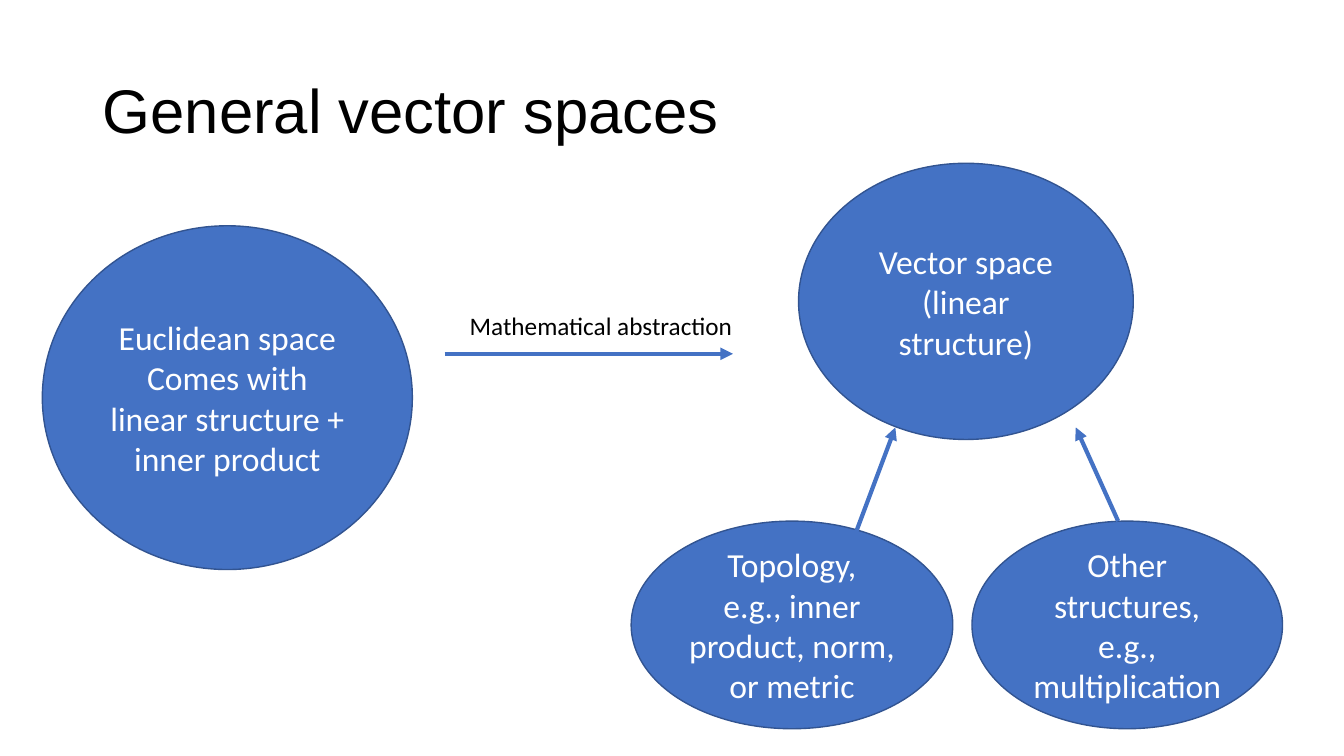
from dataclasses import dataclass

from lxml.etree import SubElement
from pptx import Presentation
from pptx.dml.color import RGBColor
from pptx.enum.shapes import MSO_CONNECTOR, MSO_SHAPE
from pptx.enum.text import MSO_ANCHOR, PP_ALIGN
from pptx.oxml.ns import qn
from pptx.slide import Slide
from pptx.text.text import TextFrame
from pptx.util import Inches, Pt


@dataclass(frozen=True)
class Theme:
    fill: RGBColor = RGBColor(0x44, 0x72, 0xC4)
    outline: RGBColor = RGBColor(0x32, 0x54, 0x91)
    dark: RGBColor = RGBColor(0, 0, 0)
    light: RGBColor = RGBColor(0xFF, 0xFF, 0xFF)
    title_font: str = "Arial"
    body_font: str = "Calibri"
    title_size: int = 44
    space_size: int = 24
    label_size: int = 18
    outline_width: int = 1
    arrow_width: int = 3


@dataclass(frozen=True)
class Style:
    font: str
    size: int
    color: RGBColor
    align: PP_ALIGN = PP_ALIGN.LEFT
    anchor: MSO_ANCHOR = MSO_ANCHOR.TOP
    line_spacing: float = 1.0


@dataclass(frozen=True)
class Area:
    left: float
    top: float
    width: float
    height: float

    def lengths(self) -> tuple[Inches, Inches, Inches, Inches]:
        return Inches(self.left), Inches(self.top), Inches(self.width), Inches(self.height)


@dataclass(frozen=True)
class Space:
    area: Area
    lines: tuple[str, ...]


@dataclass(frozen=True)
class Arrow:
    start: tuple[float, float]
    end: tuple[float, float]


THEME = Theme()
TITLE = Style(THEME.title_font, THEME.title_size, THEME.dark,
              anchor=MSO_ANCHOR.MIDDLE, line_spacing=0.9)
SPACE = Style(THEME.body_font, THEME.space_size, THEME.light,
              PP_ALIGN.CENTER, MSO_ANCHOR.MIDDLE)
LABEL = Style(THEME.body_font, THEME.label_size, THEME.dark)

STRUCTURE_TOP, STRUCTURE_HEIGHT = 5.17, 2.06
ABSTRACTION_Y = 3.51
ARROW_TIP_Y = 4.24

SPACES = (
    Space(Area(0.42, 2.24, 3.67, 3.41),
          ("Euclidean space", "Comes with linear structure + inner product")),
    Space(Area(7.92, 1.62, 3.32, 2.74), ("Vector space", "(linear structure)")),
    Space(Area(6.26, STRUCTURE_TOP, 3.19, STRUCTURE_HEIGHT),
          ("Topology,", "e.g., inner product, norm, or metric")),
    Space(Area(9.64, STRUCTURE_TOP, 3.08, STRUCTURE_HEIGHT),
          ("Other structures, e.g.,", "multiplication")),
)
ARROWS = (
    Arrow((4.41, ABSTRACTION_Y), (7.27, ABSTRACTION_Y)),
    Arrow((8.49, 5.28), (8.88, ARROW_TIP_Y)),
    Arrow((11.09, STRUCTURE_TOP), (10.67, ARROW_TIP_Y)),
)


def write_lines(frame: TextFrame, lines: tuple[str, ...], style: Style) -> None:
    frame.word_wrap = True
    frame.vertical_anchor = style.anchor
    for index, line in enumerate(lines):
        para = frame.add_paragraph() if index else frame.paragraphs[0]
        para.alignment = style.align
        para.line_spacing = style.line_spacing
        span = para.add_run()
        span.text = line
        span.font.name = style.font
        span.font.size = Pt(style.size)
        span.font.color.rgb = style.color


def add_text(page: Slide, area: Area, line: str, style: Style) -> None:
    box = page.shapes.add_textbox(*area.lengths())
    write_lines(box.text_frame, (line,), style)


def add_space(page: Slide, space: Space) -> None:
    ellipse = page.shapes.add_shape(MSO_SHAPE.OVAL, *space.area.lengths())
    ellipse.shadow.inherit = False
    ellipse.fill.solid()
    ellipse.fill.fore_color.rgb = THEME.fill
    ellipse.line.color.rgb = THEME.outline
    ellipse.line.width = Pt(THEME.outline_width)
    write_lines(ellipse.text_frame, space.lines, SPACE)


def add_arrow(page: Slide, arrow: Arrow) -> None:
    ends = [Inches(value) for value in (*arrow.start, *arrow.end)]
    connector = page.shapes.add_connector(MSO_CONNECTOR.STRAIGHT, *ends)
    connector.line.color.rgb = THEME.fill
    connector.line.width = Pt(THEME.arrow_width)
    SubElement(connector.line._get_or_add_ln(), qn("a:tailEnd"), type="triangle")
    SubElement(connector._element.spPr, qn("a:effectLst"))


def main() -> None:
    deck = Presentation()
    deck.slide_width, deck.slide_height = Inches(13.33), Inches(7.5)
    page = deck.slides.add_slide(deck.slide_layouts[6])
    add_text(page, Area(0.92, 0.4, 11.5, 1.45), "General vector spaces", TITLE)
    for space in SPACES:
        add_space(page, space)
    add_text(page, Area(4.56, 3.03, 3.32, 0.4), "Mathematical abstraction", LABEL)
    for arrow in ARROWS:
        add_arrow(page, arrow)
    deck.save("out.pptx")


if __name__ == "__main__":
    main()
